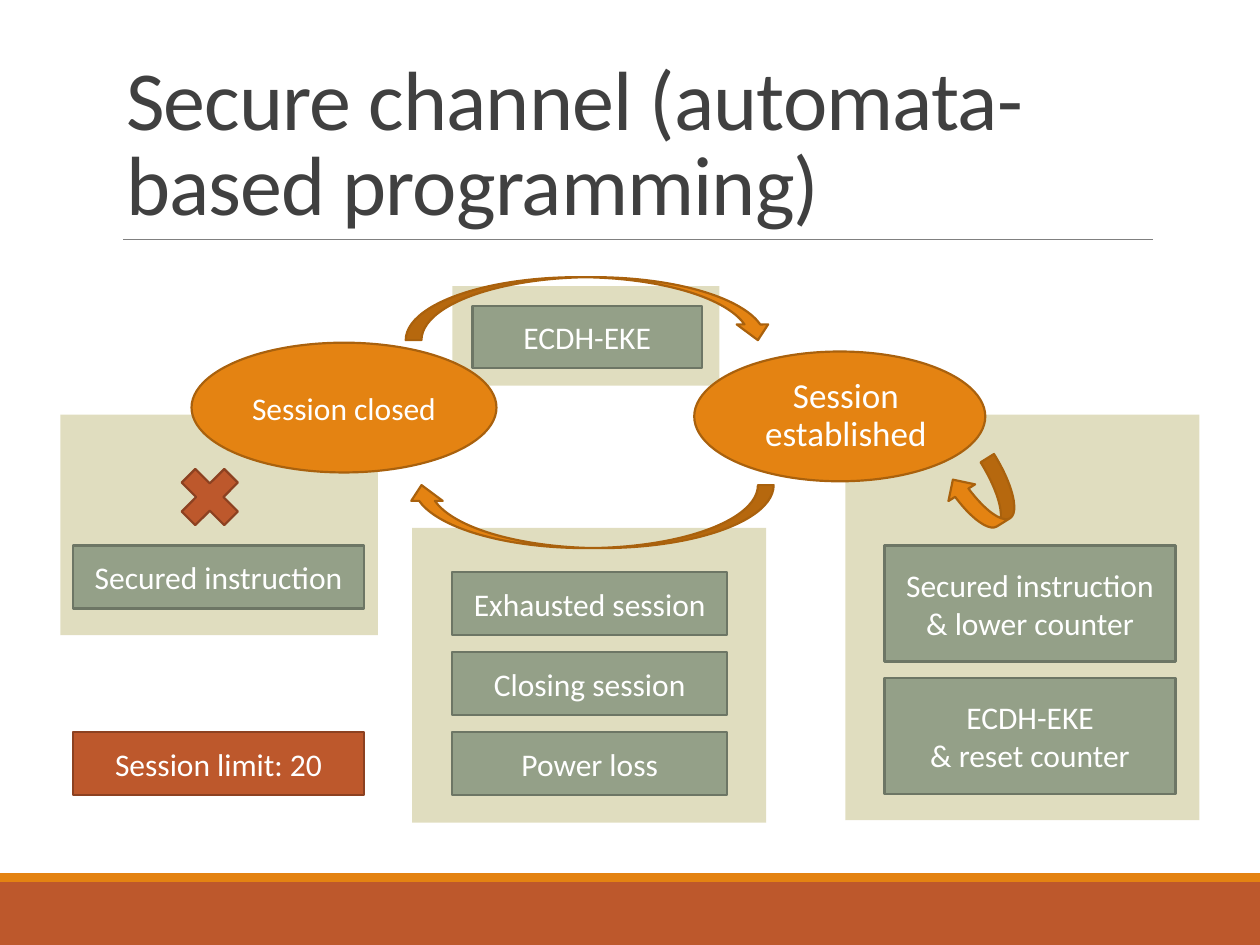
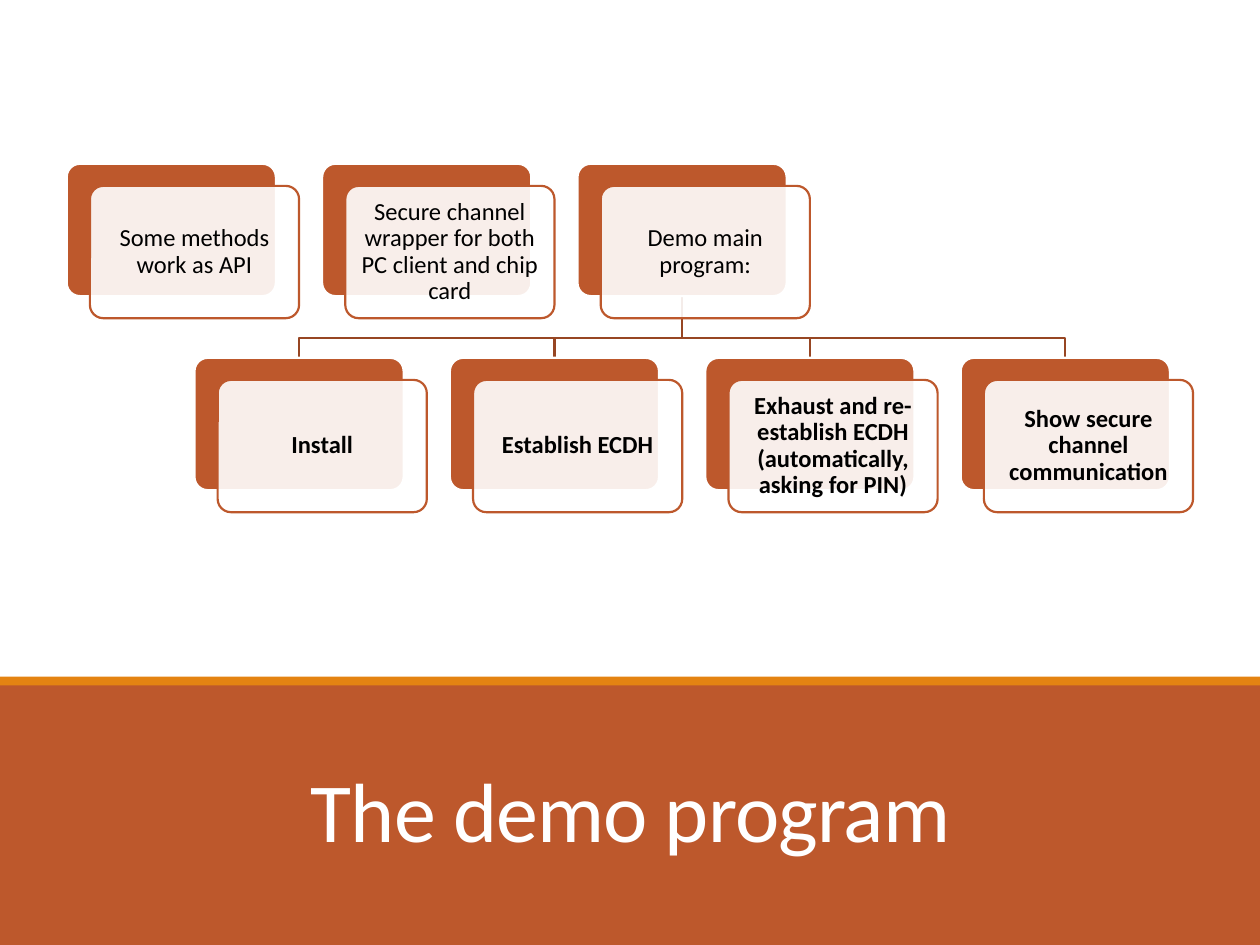
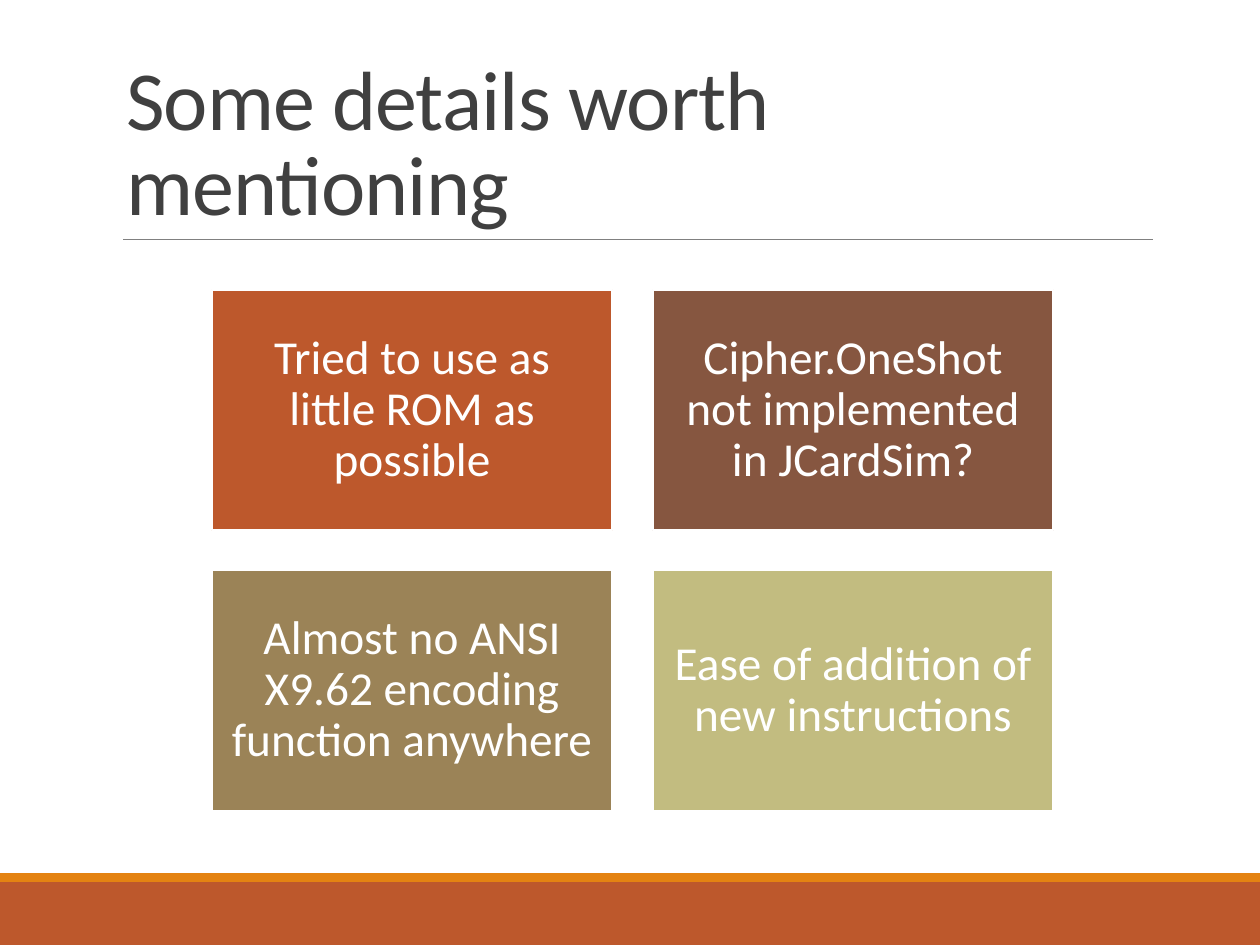
from dataclasses import dataclass

from lxml import etree
from pptx import Presentation
from pptx import util as u
from pptx.dml.color import RGBColor
from pptx.enum import shapes, text
from pptx.oxml.ns import qn

COLUMNS, ROWS = 100, 75
SHAPE = shapes.MSO_SHAPE
ALIGN = text.PP_ALIGN
ANCHOR = text.MSO_ANCHOR


@dataclass(frozen=True)
class Theme:
    font: str = "Calibri"
    rust: str = "BD582C"
    rust_edge: str = "8C4121"
    rust_link: str = "974623"
    orange: str = "E48312"
    orange_edge: str = "A9610D"
    sage: str = "94A088"
    sage_edge: str = "6D7665"
    sand: str = "C2BC80"
    brown: str = "865640"
    khaki: str = "9B8357"
    rule: str = "808080"
    ink: str = "404040"
    black: str = "000000"
    white: str = "FFFFFF"
    title_size: int = 48
    tile_size: int = 27
    state_size: int = 20
    label_size: int = 18
    card_size: int = 14
    edge_width: float = 1.25
    rule_width: float = 0.5


THEME = Theme()


def write(frame, words, *, size=THEME.label_size, color=THEME.white, bold=False,
          align=ALIGN.CENTER, anchor=ANCHOR.MIDDLE, spacing=1.0,
          insets=(0.1, 0.05, 0.1, 0.05)):
    frame.text = words
    frame.word_wrap = True
    frame.auto_size = text.MSO_AUTO_SIZE.NONE
    frame.vertical_anchor = anchor
    sides = [u.Inches(inset) for inset in insets]
    frame.margin_left, frame.margin_top, frame.margin_right, frame.margin_bottom = sides
    for para in frame.paragraphs:
        para.alignment = align
        para.line_spacing = spacing
        for span in para.runs:
            span.font.name = THEME.font
            span.font.size = u.Pt(size)
            span.font.bold = bold
            span.font.color.rgb = RGBColor.from_string(color)


class Board:
    def __init__(self, deck, theme):
        self.deck = deck
        self.theme = theme
        self.page = None

    def x(self, columns):
        return round(self.deck.slide_width * columns / COLUMNS)

    def y(self, rows):
        return round(self.deck.slide_height * rows / ROWS)

    def place(self, left, top, width, height):
        return self.x(left), self.y(top), self.x(width), self.y(height)

    def add_page(self):
        self.page = self.deck.slides.add_slide(self.deck.slide_layouts[5])

    def add_title(self, words, at, color, align):
        box = self.page.shapes.title
        box.left, box.top, box.width, box.height = self.place(*at)
        write(box.text_frame, words, size=self.theme.title_size, color=color,
              align=align, anchor=ANCHOR.BOTTOM, spacing=0.85)
        for props in box.element.iter(qn("a:rPr")):
            props.set("spc", "-50")
        box.element.getparent().append(box.element)

    def add_outline(self, box, color, width):
        if color is None:
            box.line.fill.background()
            return
        box.line.color.rgb = RGBColor.from_string(color)
        box.line.width = u.Pt(width)

    def add_box(self, kind, at, fill, edge=None, words=None, alpha=None,
                rotation=0, corner=None, **style):
        box = self.page.shapes.add_shape(kind, *self.place(*at))
        box.shadow.inherit = False
        box.rotation = rotation
        box.fill.solid()
        box.fill.fore_color.rgb = RGBColor.from_string(fill)
        if alpha is not None:
            color = box.element.spPr.find(qn("a:solidFill"))[0]
            etree.SubElement(color, qn("a:alpha"), val=str(alpha * 1000))
        if corner is not None:
            box.adjustments[0] = corner
        self.add_outline(box, edge, self.theme.edge_width)
        if words:
            write(box.text_frame, words, **style)

    def add_arrow(self, at, rotation=0):
        self.add_box(SHAPE.CURVED_DOWN_ARROW, at, self.theme.orange,
                     self.theme.orange_edge, rotation=rotation)

    def add_label(self, words, at):
        self.add_box(SHAPE.RECTANGLE, at, self.theme.sage, self.theme.sage_edge, words)

    def add_rule(self, left, right, row):
        line = self.page.shapes.add_connector(
            shapes.MSO_CONNECTOR.STRAIGHT, self.x(left), self.y(row),
            self.x(right), self.y(row))
        self.add_outline(line, self.theme.rule, self.theme.rule_width)
        etree.SubElement(line.element.spPr, qn("a:effectLst"))

    def add_branch(self, points):
        start, *rest = [(self.x(column), self.y(row)) for column, row in points]
        builder = self.page.shapes.build_freeform(*start)
        builder.add_line_segments(rest, close=False)
        branch = builder.convert_to_shape()
        branch.shadow.inherit = False
        branch.fill.background()
        self.add_outline(branch, self.theme.rust_link, self.theme.edge_width)

    def add_band(self, top):
        self.add_box(SHAPE.RECTANGLE, (0, top + 0.5, COLUMNS, ROWS - top - 0.5),
                     self.theme.rust)
        self.add_box(SHAPE.RECTANGLE, (0, top, COLUMNS, 0.7), self.theme.orange)

    def add_content_page(self, title):
        self.add_page()
        self.add_band(69.3)
        self.add_rule(9.8, 91.5, 19)
        self.add_title(title, (9, 3.1, 82.5, 15.9), self.theme.ink, ALIGN.LEFT)

    def add_card(self, words, left, top, bold):
        width, height, shift_x, shift_y = 16.6, 10.5, 1.84, 1.75
        self.add_box(SHAPE.ROUNDED_RECTANGLE, (left, top, width, height),
                     self.theme.rust, self.theme.white, corner=0.1)
        self.add_box(SHAPE.ROUNDED_RECTANGLE,
                     (left + shift_x, top + shift_y, width, height),
                     self.theme.white, self.theme.rust, words, alpha=90, corner=0.1,
                     size=self.theme.card_size, color=self.theme.black, bold=bold,
                     spacing=0.9, insets=(0.06,) * 4)


def build_channel(board):
    theme = board.theme
    board.add_content_page("Secure channel (automata-based programming)")
    for panel in ((4.8, 32.9, 25.2, 17.5), (35.9, 22.7, 21.2, 7.9),
                  (32.7, 41.9, 28.1, 23.4), (67.1, 32.9, 28.1, 32.2)):
        board.add_box(SHAPE.RECTANGLE, panel, theme.sand, alpha=50)

    board.add_box(SHAPE.OVAL, (15.2, 27.2, 24.2, 10.3), theme.orange,
                  theme.orange_edge, "Session closed")
    board.add_box(SHAPE.OVAL, (55.1, 27.9, 23.1, 10.3), theme.orange,
                  theme.orange_edge, "Session established", size=theme.state_size,
                  spacing=0.9, insets=(0.1, 0.05, 0, 0.05))
    board.add_arrow((32.2, 22, 29.2, 5))
    board.add_arrow((32.2, 38.5, 29.2, 5), rotation=180)
    board.add_arrow((75.5, 37, 5.1, 5), rotation=148)

    board.add_label("ECDH-EKE", (37.5, 24.3, 18.2, 4.9))
    for row, cause in enumerate(("Exhausted session", "Closing session", "Power loss")):
        board.add_label(cause, (35.9, 45.4 + 6.35 * row, 21.8, 5))
    for row, action in enumerate(("Secured instruction & lower counter",
                                  "ECDH-EKE\n& reset counter")):
        board.add_label(action, (70.2, 43.3 + 10.5 * row, 23.1, 9.2))
    board.add_label("Secured instruction", (5.8, 43.3, 23.1, 5))
    board.add_box(SHAPE.MATH_MULTIPLY, (13.4, 36.2, 6.5, 6.5), theme.rust,
                  theme.rust_edge)
    board.add_box(SHAPE.RECTANGLE, (5.8, 58.1, 23.1, 5), theme.rust,
                  theme.rust_edge, "Session limit: 20")


def build_demo(board):
    parts = ("Some methods work as API",
             "Secure channel wrapper for both PC client and chip card",
             "Demo main program:")
    steps = ("Install", "Establish ECDH",
             "Exhaust and re-establish ECDH (automatically, asking for PIN)",
             "Show secure channel communication")
    pitch, half_card = 20.27, 8.3
    part_left, part_top, step_left, step_top = 5.3, 13, 15.44, 28.4
    trunk = part_left + 2 * pitch + half_card

    board.add_page()
    board.add_band(53.7)
    board.add_title("The demo program", (8.8, 57.4, 82.5, 11.3),
                    board.theme.white, ALIGN.CENTER)
    for column in range(len(steps)):
        end = step_left + column * pitch + half_card
        board.add_branch([(trunk, 23.5), (trunk, 26.8), (end, 26.8), (end, step_top)])
    for cards, left, top, bold in ((parts, part_left, part_top, False),
                                   (steps, step_left, step_top, True)):
        for column, words in enumerate(cards):
            board.add_card(words, left + column * pitch, top, bold)


def build_details(board):
    theme = board.theme
    board.add_content_page("Some details worth mentioning")
    tiles = (("Tried to use as little ROM as possible", theme.rust),
             ("Cipher.OneShot not implemented in JCardSim?", theme.brown),
             ("Almost no ANSI X9.62 encoding function anywhere", theme.khaki),
             ("Ease of addition of new instructions", theme.sand))
    for index, (words, fill) in enumerate(tiles):
        row, column = divmod(index, 2)
        board.add_box(SHAPE.RECTANGLE, (16.8 + 35 * column, 23 + 22.25 * row, 31.8, 19.1),
                      fill, theme.white, words, size=theme.tile_size, spacing=0.9,
                      insets=(0.13,) * 4)


def main():
    deck = Presentation()
    deck.slide_width, deck.slide_height = u.Inches(10), u.Inches(7.5)
    board = Board(deck, THEME)
    build_channel(board)
    build_demo(board)
    build_details(board)
    deck.save("out.pptx")


if __name__ == "__main__":
    main()
